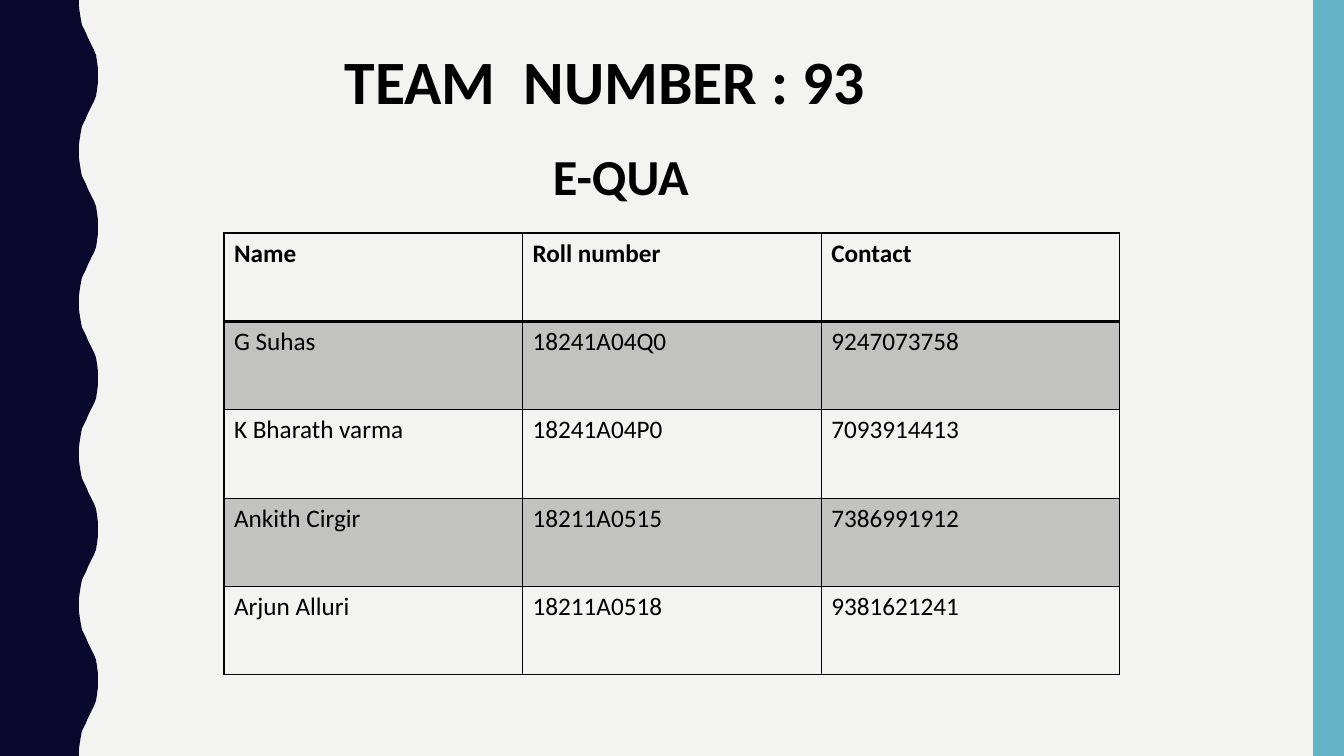
from lxml.etree import SubElement
from pptx import Presentation
from pptx.dml.color import RGBColor
from pptx.enum.shapes import MSO_SHAPE
from pptx.oxml.ns import qn
from pptx.util import Pt

COLORS = {"paper": "F3F3F2", "navy": "0B082E", "teal": "62B4C6", "ink": "000000"}
FONT = "Calibri"
WIDTH, HEIGHT = 1344, 756
SCALE = 9144000 / 1008

HEADINGS = [
    ("TEAM  NUMBER : 93", 44, (335, 38, 700, 85)),
    ("E-QUA", 36, (543, 140, 358, 72)),
]
MEMBERS = [
    ("Name", "Roll number", "Contact"),
    ("G Suhas", "18241A04Q0", "9247073758"),
    ("K Bharath varma", "18241A04P0", "7093914413"),
    ("Ankith Cirgir", "18211A0515", "7386991912"),
    ("Arjun Alluri", "18211A0518", "9381621241"),
]
ROSTER_BOX = (224, 233, 896, 442)
SHADE_ALPHA = 20
WAVES = 5
HALF_WAVE = [
    (79, 0), (79, 7), (80, 14), (81, 20), (82, 25), (84, 29), (86, 33), (88, 38),
    (90, 42), (92, 46), (94, 50), (96, 55), (97, 61), (98, 69), (98, 76),
]


def emu(*pixels):
    return [round(p * SCALE) for p in pixels]


def rgb(name):
    return RGBColor.from_string(COLORS[name])


def write(frame, text, size=18, bold=False, color="ink"):
    run = frame.paragraphs[0].add_run()
    run.text = text
    run.font.name = FONT
    run.font.size = Pt(size)
    run.font.bold = bold
    run.font.color.rgb = rgb(color)


def paint(shape, color):
    shape.shadow.inherit = False
    shape.fill.solid()
    shape.fill.fore_color.rgb = rgb(color)
    shape.line.fill.background()


def add_border(cell, side, points):
    edge = SubElement(cell._tc.get_or_add_tcPr(), qn(f"a:ln{side}"), w=str(Pt(points)))
    SubElement(SubElement(edge, qn("a:solidFill")), qn("a:srgbClr"), val=COLORS["ink"])


def shade(cell):
    cell.fill.solid()
    cell.fill.fore_color.rgb = rgb("ink")
    tint = cell._tc.tcPr.find(qn("a:solidFill")).find(qn("a:srgbClr"))
    SubElement(tint, qn("a:alpha"), val=str(SHADE_ALPHA * 1000))


deck = Presentation()
deck.slide_width, deck.slide_height = emu(WIDTH, HEIGHT)
slide = deck.slides.add_slide(deck.slide_layouts[6])
slide.background.fill.solid()
slide.background.fill.fore_color.rgb = rgb("paper")

period = HEIGHT / WAVES
full_wave = HALF_WAVE + [(x, period - y) for x, y in reversed(HALF_WAVE[:-1])]
wavy_edge = [(x, y + wave * period) for wave in range(WAVES) for x, y in full_wave]
outline = slide.shapes.build_freeform(0, 0, scale=1.0)
outline.add_line_segments([emu(x, y) for x, y in wavy_edge + [(0, HEIGHT)]], close=True)
paint(outline.convert_to_shape(), "navy")

right_band = slide.shapes.add_shape(MSO_SHAPE.RECTANGLE, *emu(1313, 0, 31, HEIGHT))
paint(right_band, "teal")

roster = slide.shapes.add_table(len(MEMBERS), len(MEMBERS[0]), *emu(*ROSTER_BOX)).table
roster.first_row = roster.horz_banding = False
for row, member in enumerate(MEMBERS):
    for column, entry in enumerate(member):
        cell = roster.cell(row, column)
        write(cell.text_frame, entry, bold=row == 0)
        for side in "LRTB":
            under_header = (row, side) in [(0, "B"), (1, "T")]
            add_border(cell, side, 2 if under_header else 1)
        if row % 2:
            shade(cell)
        else:
            cell.fill.background()

for heading, size, box in HEADINGS:
    frame = slide.shapes.add_textbox(*emu(*box)).text_frame
    frame.word_wrap = True
    write(frame, heading, size=size, bold=True)

deck.save("out.pptx")
